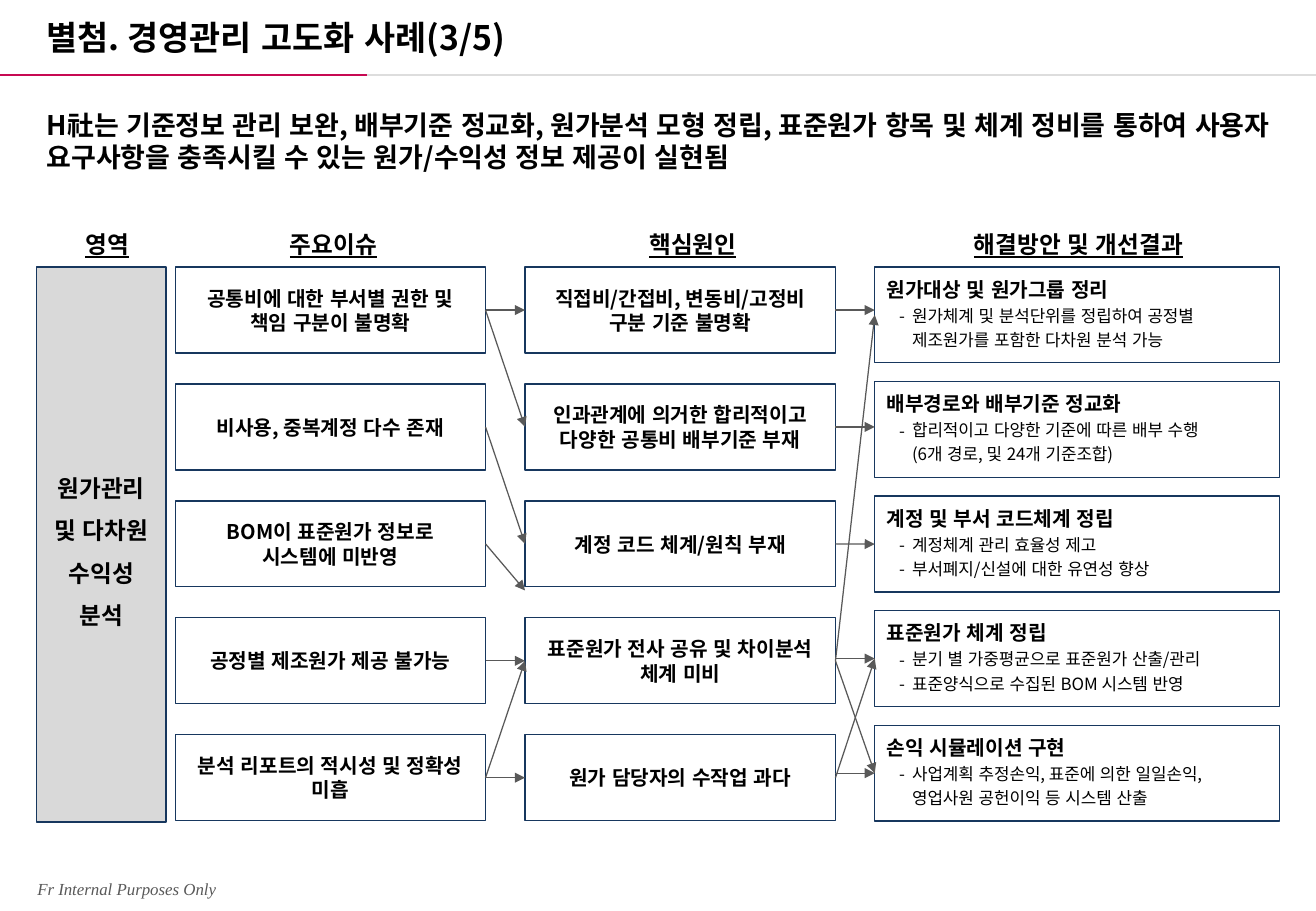
"""Build the cost management case slide: issues, root causes and improvements."""
from dataclasses import dataclass

from lxml.etree import SubElement
from pptx import Presentation
from pptx.dml.color import RGBColor
from pptx.enum.lang import MSO_LANGUAGE_ID as Language
from pptx.enum.shapes import MSO_CONNECTOR as Connector, MSO_SHAPE as Shape
from pptx.enum.text import MSO_ANCHOR as Anchor, PP_ALIGN as Align
from pptx.oxml.ns import qn
from pptx.util import Pt


@dataclass(frozen=True)
class Theme:
    font: str = "Noto Sans CJK KR"
    footer_font: str = "Times New Roman"
    black: str = "000000"
    gray: str = "595959"
    navy: str = "17375E"
    white: str = "FFFFFF"
    area_fill: str = "D9D9D9"
    red: str = "C70952"
    rule: str = "DDDDDD"
    title: int = 20
    headline: int = 16
    label: int = 14
    body: int = 12
    detail: int = 10


theme = Theme()


def format_paragraph(paragraph, size, align=Align.LEFT, bold=True, spacing=1.0):
    """Apply the slide's typeface and spacing to one paragraph."""
    paragraph.alignment = align
    paragraph.line_spacing = spacing
    for run in paragraph.runs:
        font = run.font
        font.name, font.size, font.bold = theme.font, Pt(size), bold
        font.language_id = Language.KOREAN
        font.color.rgb = RGBColor.from_string(theme.black)
        SubElement(font._element, qn("a:ea"), typeface=theme.font)


def add_line(begin, end, color, width):
    """Add a straight line without a shadow."""
    line = slide.shapes.add_connector(Connector.STRAIGHT, *map(Pt, begin + end))
    line.line.color.rgb = RGBColor.from_string(color)
    line.line.width = Pt(width)
    SubElement(line._element.spPr, qn("a:effectLst"))
    return line


presentation = Presentation()
presentation.slide_width, presentation.slide_height = Pt(780), Pt(540)
slide = presentation.slides.add_slide(presentation.slide_layouts[6])

add_line((0, 44.5), (217.5, 44.5), theme.red, 1.5)
add_line((217.5, 44.5), (780, 44.5), theme.rule, 1.5)

headline = (
    "H社는 기준정보 관리 보완, 배부기준 정교화, 원가분석 모형 정립, 표준원가 항목 및 체계 정비를 통하여 "
    "사용자 요구사항을 충족시킬 수 있는 원가/수익성 정보 제공이 실현됨"
)
texts = [
    ("별첨. 경영관리 고도화 사례(3/5)", 20.6, 5, 426, 32.4, theme.title, Align.JUSTIFY),
    (headline, 20.6, 60.5, 739, 48, theme.headline, Align.JUSTIFY),
    ("영역", 37, 132.5, 53, 24, theme.label, Align.CENTER),
    ("주요이슈", 134, 132.5, 127.4, 24, theme.label, Align.CENTER),
    ("핵심원인", 347, 132.5, 127.4, 24, theme.label, Align.CENTER),
    ("해결방안 및 개선결과", 551, 132.5, 176.4, 24, theme.label, Align.CENTER),
    ("Fr Internal Purposes Only", 15, 517.5, 193, 19.5, theme.detail, Align.LEFT),
]
for text, left, top, width, height, size, align in texts:
    box = slide.shapes.add_textbox(Pt(left), Pt(top), Pt(width), Pt(height))
    frame = box.text_frame
    frame.word_wrap = True
    frame.text = text
    format_paragraph(frame.paragraphs[0], size, align)
    font = frame.paragraphs[0].runs[0].font
    font.underline = size == theme.label
    if size == theme.title:
        frame.vertical_anchor = Anchor.BOTTOM
    if size == theme.detail:
        font.name, font.bold, font.italic = theme.footer_font, False, True
        font.color.rgb = RGBColor.from_string(theme.gray)

areas = ["원가관리 및 다차원 수익성 분석"]
issues = [
    "공통비에 대한 부서별 권한 및 책임 구분이 불명확",
    "비사용, 중복계정 다수 존재",
    "BOM이 표준원가 정보로 시스템에 미반영",
    "공정별 제조원가 제공 불가능",
    "분석 리포트의 적시성 및 정확성 미흡",
]
causes = [
    "직접비/간접비, 변동비/고정비 구분 기준 불명확",
    "인과관계에 의거한 합리적이고 다양한 공통비 배부기준 부재",
    "계정 코드 체계/원칙 부재",
    "표준원가 전사 공유 및 차이분석 체계 미비",
    "원가 담당자의 수작업 과다",
]
results = [
    "원가대상 및 원가그룹 정리\n원가체계 및 분석단위를 정립하여 공정별\v제조원가를 포함한 다차원 분석 가능",
    "배부경로와 배부기준 정교화\n합리적이고 다양한 기준에 따른 배부 수행\v(6개 경로, 및 24개 기준조합)",
    "계정 및 부서 코드체계 정립\n계정체계 관리 효율성 제고\n부서폐지/신설에 대한 유연성 향상",
    "표준원가 체계 정립\n분기 별 가중평균으로 표준원가 산출/관리\n표준양식으로 수집된 BOM 시스템 반영",
    "손익 시뮬레이션 구현\n사업계획 추정손익, 표준에 의한 일일손익,\v영업사원 공헌이익 등 시스템 산출",
]
columns = [
    (areas, 21.6, 76.8, 329, 0),
    (issues, 103.8, 184, 51, 69.3),
    (causes, 311.2, 184, 51, 69.3),
    (results, 518.5, 240, 56.8, 67.9),
]
boxes = []
for entries, left, width, height, pitch in columns:
    column = []
    for row, text in enumerate(entries):
        top = 158.3 + row * pitch
        box = slide.shapes.add_shape(Shape.RECTANGLE, Pt(left), Pt(top), Pt(width), Pt(height))
        box.shadow.inherit = False
        box.fill.solid()
        fill = theme.area_fill if entries is areas else theme.white
        box.fill.fore_color.rgb = RGBColor.from_string(fill)
        box.line.color.rgb = RGBColor.from_string(theme.navy)
        box.line.width = Pt(0.75)
        frame = box.text_frame
        frame.word_wrap = True
        frame.text = text
        if entries is results:
            frame.vertical_anchor = Anchor.TOP
            frame.margin_top = Pt(3)
            heading, *details = frame.paragraphs
            format_paragraph(heading, theme.body, spacing=1.2)
            for paragraph in details:
                properties = paragraph._p.get_or_add_pPr()
                properties.set("marL", str(Pt(15)))
                properties.set("indent", str(-Pt(7.7)))
                SubElement(properties, qn("a:buFont"), typeface=theme.font)
                SubElement(properties, qn("a:buChar"), char="-")
                format_paragraph(paragraph, theme.detail, bold=False, spacing=1.2)
        else:
            frame.vertical_anchor = Anchor.MIDDLE
            size, spacing = (theme.label, 1.5) if entries is areas else (theme.body, 1.0)
            format_paragraph(frame.paragraphs[0], size, Align.CENTER, spacing=spacing)
        column.append(box)
    boxes.append(column)

_, issue_boxes, cause_boxes, result_boxes = boxes
issue_links = [(0, 0), (0, 1), (1, 2), (2, None), (3, 3), (4, 4), (4, 3)]
cause_links = [(0, None), (1, None), (2, 2), (None, 3), (3, 4), (4, 3), (None, 4), (3, 0)]
free_heights = {(2, None): 350, (0, None): 183.8, (1, None): 253.1, (None, 3): 390.4, (None, 4): 458.3}
stages = [
    (issue_boxes, cause_boxes, issue_links, 287.8, 311.2),
    (cause_boxes, result_boxes, cause_links, 495.2, 518.5),
]
for sources, targets, links, start, finish in stages:
    for link in links:
        source, target = link
        height = free_heights.get(link, 0)
        arrow = add_line((start, height), (finish, height), theme.gray, 0.75)
        if source is not None:
            arrow.begin_connect(sources[source], 3)
        if target is not None:
            arrow.end_connect(targets[target], 1)
        SubElement(arrow.line._get_or_add_ln(), qn("a:tailEnd"), type="triangle")

presentation.save("out.pptx")
